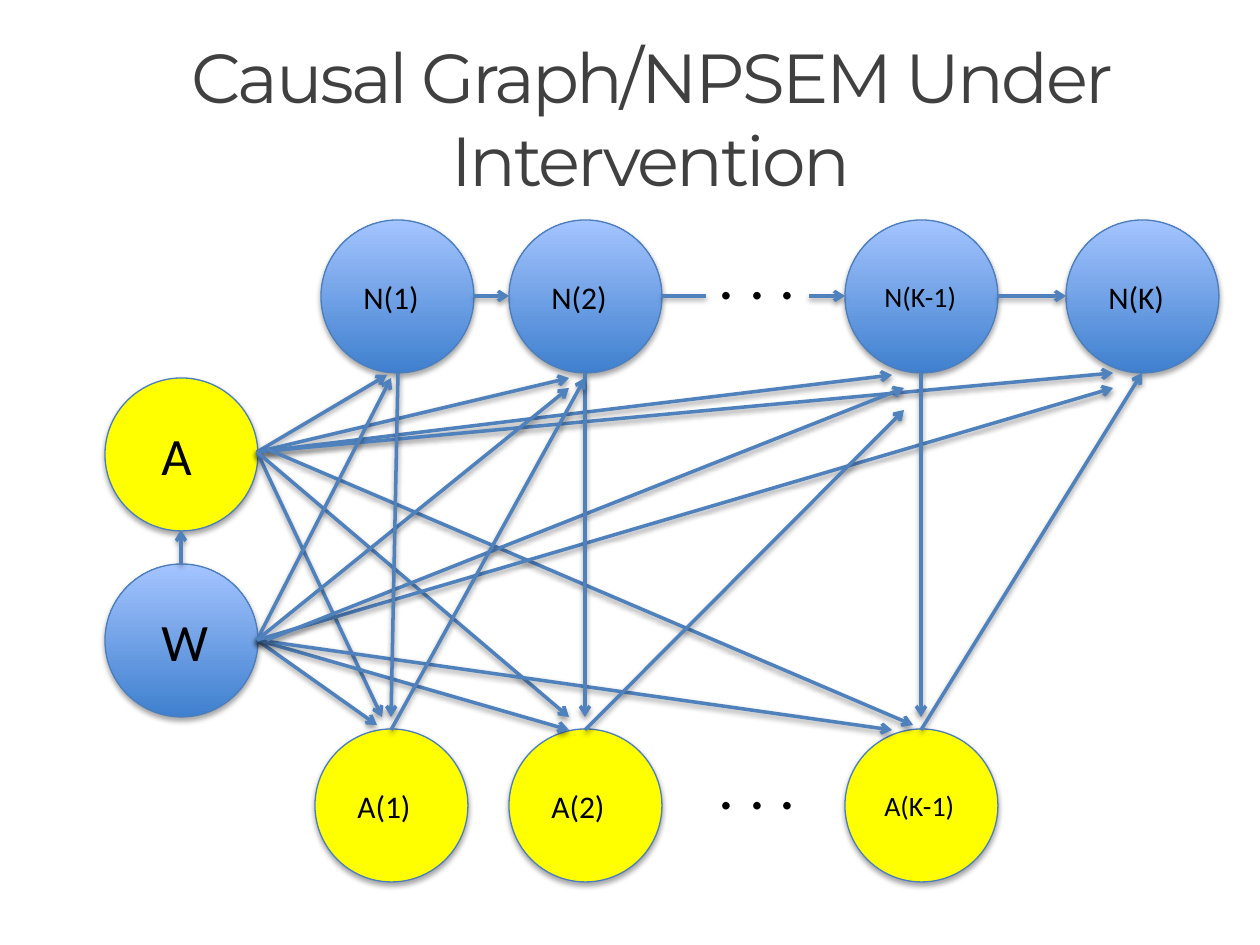
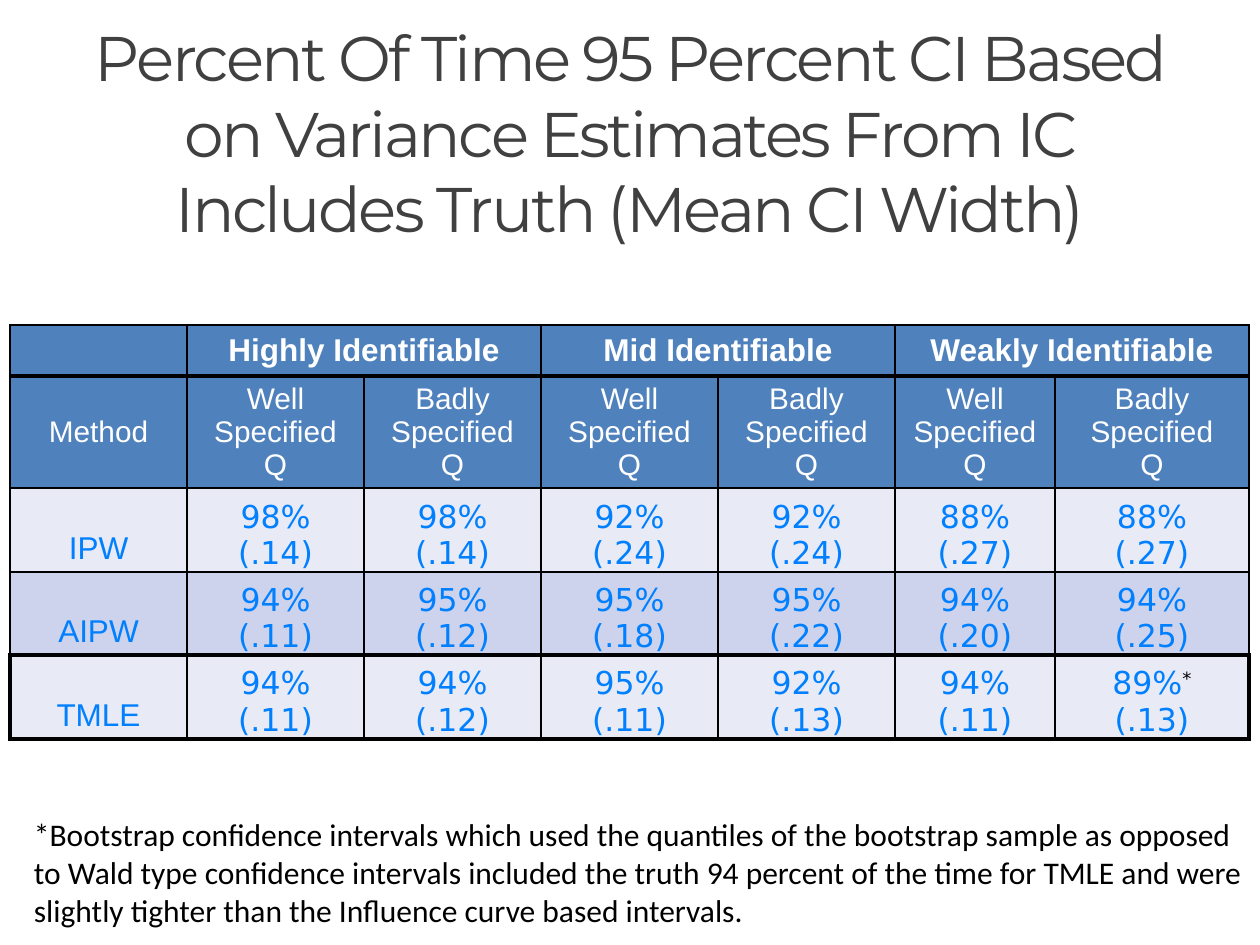
import dataclasses

import lxml.etree
import pptx
import pptx.dml.color
import pptx.enum.shapes
import pptx.enum.text
import pptx.oxml.ns
import pptx.util

SCALE = 914400 / 126
ALIGN = pptx.enum.text.PP_ALIGN
ANCHOR = pptx.enum.text.MSO_ANCHOR
RGB = pptx.dml.color.RGBColor.from_string
qn = pptx.oxml.ns.qn


@dataclasses.dataclass(frozen=True)
class Theme:
    title_font: str = "Montserrat"
    body_font: str = "Calibri"
    table_font: str = "Arial"
    value_font: str = "DejaVu Sans"
    title: str = "404040"
    ink: str = "000000"
    white: str = "FFFFFF"
    yellow: str = "FFFF00"
    blue_low: str = "3F80CE"
    blue_high: str = "A4C4FF"
    outline: str = "4B7EBC"
    accent: str = "4F81BD"
    value: str = "007FFF"
    band_light: str = "E8EAF6"
    band_dark: str = "CDD3EC"
    graph_title_size: float = 39.6
    table_title_size: int = 36
    body_size: int = 18
    subhead_size: int = 17
    small_size: int = 16
    node_size: int = 30
    dots_size: int = 36


theme = Theme()


def px(*values):
    return [pptx.util.Emu(round(value * SCALE)) for value in values]


def write_text(frame, text, font=theme.body_font, size=theme.body_size, color=theme.ink,
               bold=False, align=ALIGN.LEFT, anchor=ANCHOR.TOP, margins=(13, 6, 13, 6),
               spacing=0, mark=""):
    frame.word_wrap = True
    frame.vertical_anchor = anchor
    (frame.margin_left, frame.margin_top,
     frame.margin_right, frame.margin_bottom) = px(*margins)
    for number, line in enumerate(text.split("\n")):
        para = frame.add_paragraph() if number else frame.paragraphs[0]
        para.alignment = align
        pieces = [(line, color, 0)]
        if mark and number == 0:
            pieces.append((mark, theme.ink, 30000))
        for piece, ink, baseline in pieces:
            span = para.add_run()
            span.text = piece
            span.font.name = font
            span.font.size = pptx.util.Pt(size)
            span.font.bold = bold
            span.font.color.rgb = RGB(ink)
            properties = span._r.get_or_add_rPr()
            if spacing:
                properties.set("spc", str(spacing))
            if baseline:
                properties.set("baseline", str(baseline))


deck = pptx.Presentation()
deck.slide_width, deck.slide_height = px(1260, 945)

titles = [
    ("Causal Graph/NPSEM Under Intervention", theme.graph_title_size, (84, 38, 1134, 158)),
    ("Percent Of Time 95 Percent CI Based on Variance Estimates From IC "
     "Includes Truth (Mean CI Width)", theme.table_title_size, (63, 53, 1134, 158)),
]
pages = []
for text, size, place in titles:
    page = deck.slides.add_slide(deck.slide_layouts[6])
    box = page.shapes.add_textbox(*px(*place))
    write_text(box.text_frame, text, font=theme.title_font, size=size, color=theme.title,
               align=ALIGN.CENTER, anchor=ANCHOR.MIDDLE, spacing=-150)
    pages.append(page)
graph_page, table_page = pages

DIAMETER = 153
TOP_ROW, BOTTOM_ROW = 220, 729
nodes = [
    ("N(1)", 321, TOP_ROW, False, theme.body_size, 20),
    ("N(2)", 509, TOP_ROW, False, theme.body_size, 20),
    ("N(K-1)", 845, TOP_ROW, False, theme.small_size, 17),
    ("N(K)", 1066, TOP_ROW, False, theme.body_size, 20),
    ("A", 105, 378, True, theme.node_size, 34),
    ("W", 105, 564, False, theme.node_size, 34),
    ("A(1)", 315, BOTTOM_ROW, True, theme.body_size, 20),
    ("A(2)", 509, BOTTOM_ROW, True, theme.body_size, 20),
    ("A(K-1)", 845, BOTTOM_ROW, True, theme.small_size, 17),
]
shadowed = []
for label, left, top, intervened, size, indent in nodes:
    node = graph_page.shapes.add_shape(pptx.enum.shapes.MSO_SHAPE.OVAL,
                                       *px(left, top, DIAMETER, DIAMETER))
    if intervened:
        node.fill.solid()
        node.fill.fore_color.rgb = RGB(theme.yellow)
    else:
        node.fill.gradient()
        node.fill.gradient_angle = 90
        for stop, color in zip(node.fill.gradient_stops, (theme.blue_low, theme.blue_high)):
            stop.color.rgb = RGB(color)
    node.line.color.rgb = RGB(theme.outline)
    node.line.width = pptx.util.Pt(0.75)
    write_text(node.text_frame, label, size=size, anchor=ANCHOR.MIDDLE,
               margins=(indent, 6, 0, 6))
    shadowed.append((node, 35000, 23000))

for top in (231, 741):
    box = graph_page.shapes.add_textbox(*px(706, top, 120, 89))
    write_text(box.text_frame, ". . .", size=theme.dots_size, margins=(13, 6, 0, 6))

AXIS = 296
fans = [
    ((257, 452), [(387, 375), (569, 378), (892, 375), (1113, 373), (382, 717), (569, 717)]),
    ((267, 449), [(913, 725)]),
    ((257, 640), [(377, 725), (569, 730), (892, 730), (391, 378), (569, 388), (1113, 388)]),
    ((267, 640), [(904, 388)]),
    ((181, 564), [(181, 530)]),
    ((398, 373), [(391, 717)]),
    ((585, 373), [(585, 717)]),
    ((921, 373), [(921, 717)]),
    ((391, 730), [(585, 378)]),
    ((585, 730), [(904, 410)]),
    ((921, 730), [(1142, 373)]),
    ((474, AXIS), [(509, AXIS)]),
    ((662, AXIS), [(706, AXIS)]),
    ((809, AXIS), [(845, AXIS)]),
    ((998, AXIS), [(1066, AXIS)]),
]
for start, tips in fans:
    for tip in tips:
        arrow = graph_page.shapes.add_connector(
            pptx.enum.shapes.MSO_CONNECTOR.STRAIGHT, *px(*start, *tip))
        arrow.line.color.rgb = RGB(theme.accent)
        arrow.line.width = pptx.util.Pt(2)
        if tip != (706, AXIS):
            lxml.etree.SubElement(arrow.line._get_or_add_ln(), qn("a:tailEnd"), type="arrow")
        shadowed.append((arrow, 38000, 20000))

for shape, opacity, distance in shadowed:
    effects = lxml.etree.SubElement(shape._element.spPr, qn("a:effectLst"))
    shadow = lxml.etree.SubElement(effects, qn("a:outerShdw"), blurRad="40000",
                                   dist=str(distance), dir="5400000", rotWithShape="0")
    tint = lxml.etree.SubElement(shadow, qn("a:srgbClr"), val=theme.ink)
    lxml.etree.SubElement(tint, qn("a:alpha"), val=str(opacity))

widths = [177] * 5 + [160, 194]
heights = [51, 112, 84, 83, 84]
rules = [1, 3, 1, 1, 2.25, 2.25]
fills = [theme.accent, theme.accent, theme.band_light, theme.band_dark, theme.band_light]
groups = ["Highly Identifiable", "Mid Identifiable", "Weakly Identifiable"]
rows = [
    [""] + [text for group in groups for text in (group, "")],
    ["Method"] + ["Well Specified\nQ", "Badly Specified\nQ"] * 3,
    ["IPW", "98%\n(.14)", "98%\n(.14)", "92%\n(.24)", "92%\n(.24)", "88%\n(.27)", "88%\n(.27)"],
    ["AIPW", "94%\n(.11)", "95%\n(.12)", "95%\n(.18)", "95%\n(.22)", "94%\n(.20)", "94%\n(.25)"],
    ["TMLE", "94%\n(.11)", "94%\n(.12)", "95%\n(.11)", "92%\n(.13)", "94%\n(.11)", "89%\n(.13)"],
]
LAST_ROW, LAST_COLUMN = len(rows) - 1, len(widths) - 1
table = table_page.shapes.add_table(len(rows), len(widths),
                                    *px(10, 325, sum(widths), sum(heights))).table
table.first_row = table.horz_banding = False
for column, width in zip(table.columns, px(*widths)):
    column.width = width
for row, height in zip(table.rows, px(*heights)):
    row.height = height
for first in (1, 3, 5):
    table.cell(0, first).merge(table.cell(0, first + 1))

for r, texts in enumerate(rows):
    for c, text in enumerate(texts):
        cell = table.cell(r, c)
        borders = {
            "a:lnL": 2.25 if r == LAST_ROW and c == 0 else 1,
            "a:lnR": 2.25 if r == LAST_ROW and c == LAST_COLUMN else 1,
            "a:lnT": rules[r],
            "a:lnB": rules[r + 1],
        }
        for tag, weight in borders.items():
            edge = lxml.etree.SubElement(cell._tc.get_or_add_tcPr(), qn(tag),
                                         w=str(int(weight * 12700)))
            paint = lxml.etree.SubElement(edge, qn("a:solidFill"))
            lxml.etree.SubElement(paint, qn("a:srgbClr"), val=theme.ink)
        cell.fill.solid()
        cell.fill.fore_color.rgb = RGB(fills[r])
        if not text:
            continue
        look = dict(font=theme.table_font, color=theme.white, align=ALIGN.CENTER)
        if r < 2:
            look.update(bold=r == 0, size=theme.subhead_size if r else theme.body_size)
            margins, anchor = (13, 2, 13, 2), ANCHOR.MIDDLE
        else:
            look.update(color=theme.value)
            margins, anchor = (13, 6, 13, 6), ANCHOR.BOTTOM
            if c:
                look.update(font=theme.value_font)
                margins = (1, 1, 1, 0)
        if (r, c) == (LAST_ROW, LAST_COLUMN):
            look.update(mark="*")
        write_text(cell.text_frame, text, **look)
        cell.vertical_anchor = anchor
        (cell.margin_left, cell.margin_top,
         cell.margin_right, cell.margin_bottom) = px(*margins)
        body = cell._tc.txBody.find(qn("a:bodyPr"))
        body.attrib.clear()

footnote = table_page.shapes.add_textbox(*px(21, 809, 1235, 127))
write_text(
    footnote.text_frame,
    "*Bootstrap confidence intervals which used the quantiles of the bootstrap sample as opposed\n"
    "to Wald type confidence intervals included the truth 94 percent of the time for TMLE and were\n"
    "slightly tighter than the Influence curve based intervals.",
    margins=(13, 6, 0, 6))

deck.save("out.pptx")
